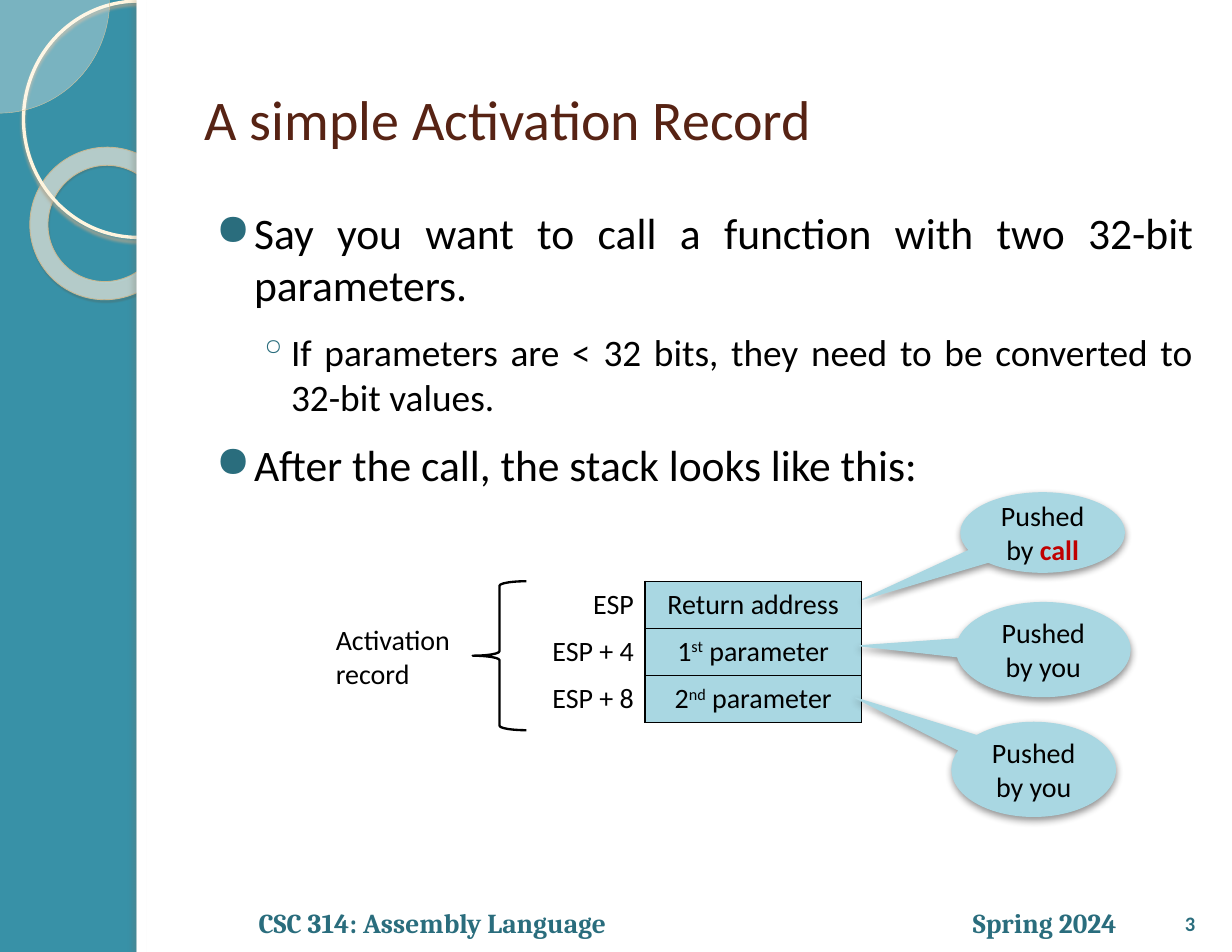
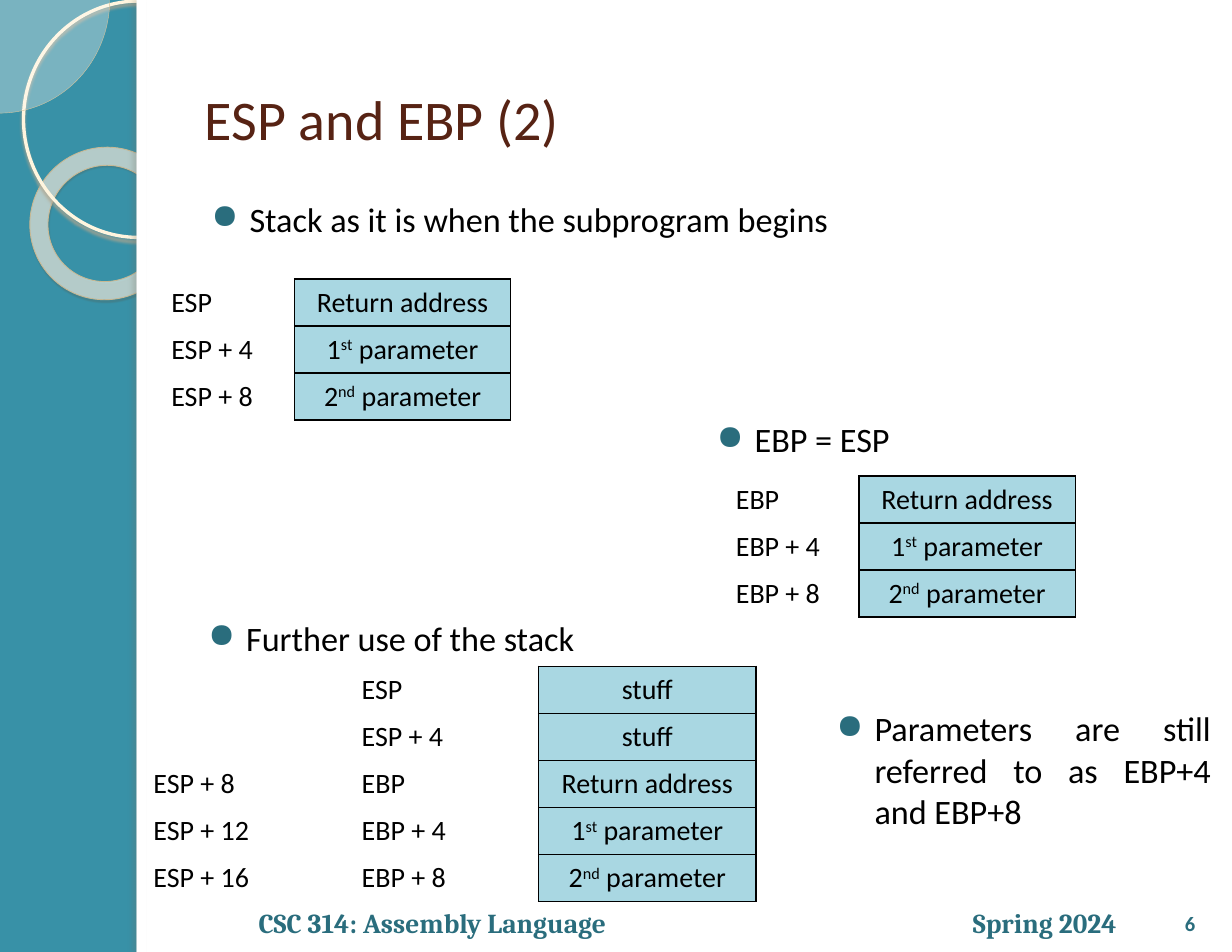
from lxml import etree
from pptx import Presentation, util as u
from pptx.dml.color import RGBColor
from pptx.enum import shapes, text
from pptx.oxml.ns import qn

COLS, ROWS = 110, 85
TEAL, DEEP_TEAL, PALE_TEAL = "3891A7", "2A6D7D", "A9D7E2"
BROWN, BLACK, WHITE, RED = "572314", "000000", "FFFFFF", "C00000"
FONT, FOOTER_FONT = "Calibri", "Cambria"
PLAIN_TABLE = "{2D5ABB26-0587-4C30-8999-92F81FD0307C}"
SHAPE, ALIGN, ANCHOR = shapes.MSO_SHAPE, text.PP_ALIGN, text.MSO_ANCHOR

FOOTER = "CSC 314: Assembly Language\tSpring 2024"
FRAME_CELLS = ["Return address", "1|st| parameter", "2|nd| parameter"]
ROW_HEIGHT = 4.2


def rgb(color):
    return RGBColor.from_string(color)


def add(parent, tag, **attrs):
    el = etree.SubElement(parent, qn(tag))
    for name, value in attrs.items():
        el.set(name, str(value))
    return el


def superscript(r):
    r._r.get_or_add_rPr().set("baseline", "30000")


def red_bold(r):
    r.font.bold = True
    r.font.color.rgb = rgb(RED)


def offsets(register, count):
    """Names of stack slots: register, register + 4, register + 8, ..."""
    return [f"{register} + {4 * i}" if i else register for i in range(count)]


class Deck:
    def __init__(self):
        self.prs = Presentation()
        self.prs.slide_width, self.prs.slide_height = u.Inches(11), u.Inches(8.5)
        fill = self.prs.slide_master.background.fill
        fill.solid()
        fill.fore_color.rgb = rgb(TEAL)
        self.s = None

    def x(self, cols):
        return round(self.prs.slide_width * cols / COLS)

    def y(self, rows):
        return round(self.prs.slide_height * rows / ROWS)

    def box(self, left, top, width, height):
        return self.x(left), self.y(top), self.x(width), self.y(height)

    def slide(self, title, number):
        self.s = self.prs.slides.add_slide(self.prs.slide_layouts[5])
        self.side_band()
        self.footer(number)
        sp = self.s.shapes.title
        sp._element.getparent().append(sp._element)  # in front of the white panel
        sp.left, sp.top, sp.width, sp.height = self.box(17.3, 3.4, 90.2, 14.2)
        sp.text_frame.auto_size = text.MSO_AUTO_SIZE.NONE
        sp.text_frame.vertical_anchor = ANCHOR.MIDDLE
        self.put_text(sp.text_frame.paragraphs[0], title, 36, BROWN)

    def side_band(self):
        ring = self.shape(SHAPE.DONUT, (2.7, 13.1, 13.5, 13.7), "FDF8EC", ("C7B893", 0.58),
                          ("5A5444", 35, 1, 1.2, 75), [0.12], alpha=62)
        ring.rotation = 38.6
        self.shape(SHAPE.OVAL, (2.1, 0.1, 20.5, 21.1), None, ("FFF5DE", 2.15),
                   ("B0A68F", 85, 2, 2, 90))
        self.shape(SHAPE.RECTANGLE, (12.2, 0, 97.8, 85), WHITE)
        self.shape(SHAPE.RECTANGLE, (12.2, 0, 0.9, 85), WHITE, shadow=("736F63", 25, 3, 3, 180))
        self.shape(SHAPE.PIE, (-9.9, -10.2, 19.7, 20.3), "FEFAF4", ("D3C39F", 0.25),
                   adjust=[0, 54], alpha=33)

    def footer(self, number):
        tf = self.text_box((17, 77.4, 89.1, 6.9), ANCHOR.BOTTOM)
        tf.margin_left = self.x(6.1)
        p = tf.paragraphs[0]
        tabs = add(p._p.get_or_add_pPr(), "a:tabLst")
        add(tabs, "a:tab", pos=self.x(76.6), algn="r")
        self.put_text(p, FOOTER, 17.6, DEEP_TEAL, font=FOOTER_FONT, bold=True)
        tf = self.text_box((103.4, 77.4, 5.7, 6.6), ANCHOR.BOTTOM)
        self.put_text(tf.paragraphs[0], number, 13.2, DEEP_TEAL, ALIGN.CENTER, bold=True)

    def put_text(self, p, content, size=18, color=BLACK, align=ALIGN.LEFT, font=FONT,
                 bold=False, mark=superscript):
        """Fill a paragraph; parts between bars are formatted by mark."""
        p.alignment = align
        p.font.name, p.font.size, p.font.bold = font, u.Pt(size), bold
        p.font.color.rgb = rgb(color)
        for i, part in enumerate(content.split("|")):
            if part:
                r = p.add_run()
                r.text = part
                if i % 2:
                    mark(r)

    def text_box(self, place, anchor=ANCHOR.TOP):
        tf = self.s.shapes.add_textbox(*self.box(*place)).text_frame
        tf.word_wrap = True
        tf.vertical_anchor = anchor
        return tf

    def label(self, place, content):
        self.put_text(self.text_box(place).paragraphs[0], content)

    def bullets(self, place, items, before=6.6, after=0):
        """Add a justified list of (level, size, text) items."""
        tf = self.text_box(place)
        for i, (level, size, content) in enumerate(items):
            p = tf.add_paragraph() if i else tf.paragraphs[0]
            p.level = level
            left, hang, char = [(4.4, 3.4, "●"), (7.7, 2.9, "◦")][level]
            pPr = p._p.get_or_add_pPr()
            pPr.set("marL", str(self.x(left)))
            pPr.set("indent", str(-self.x(hang)))
            add(add(pPr, "a:buClr"), "a:srgbClr", val=DEEP_TEAL)
            add(pPr, "a:buChar", char=char)
            p.space_before, p.space_after = u.Pt(before), u.Pt(after)
            self.put_text(p, content, size, align=ALIGN.JUSTIFY)

    def shape(self, kind, place, fill=None, line=None, shadow=None, adjust=(), alpha=None):
        sp = self.s.shapes.add_shape(kind, *self.box(*place))
        for i, value in enumerate(adjust):
            sp.adjustments[i] = value
        if fill:
            sp.fill.solid()
            sp.fill.fore_color.rgb = rgb(fill)
        else:
            sp.fill.background()
        if alpha:
            color = sp._element.spPr.find(qn("a:solidFill"))[0]
            add(color, "a:alpha", val=alpha * 1000)
        if line:
            sp.line.color.rgb, sp.line.width = rgb(line[0]), u.Pt(line[1])
        else:
            sp.line.fill.background()
        sp.shadow.inherit = False
        if shadow:
            self.cast_shadow(sp, *shadow)
        return sp

    def cast_shadow(self, sp, color, alpha, blur, dist, angle):
        effects = sp._element.spPr.find(qn("a:effectLst"))
        outer = add(effects, "a:outerShdw", blurRad=u.Pt(blur), dist=u.Pt(dist),
                    dir=angle * 60000, algn="ctr", rotWithShape=0)
        add(add(outer, "a:srgbClr", val=color), "a:alpha", val=alpha * 1000)

    def callout(self, place, tip, content):
        sp = self.shape(SHAPE.OVAL_CALLOUT, place, PALE_TEAL, (PALE_TEAL, 0.75),
                        (BLACK, 43, 5, 2, 90), tip)
        sp.text_frame.word_wrap = True
        sp.text_frame.vertical_anchor = ANCHOR.MIDDLE
        self.put_text(sp.text_frame.paragraphs[0], content, align=ALIGN.CENTER, mark=red_bold)

    def border(self, cell, sides):
        tcPr = cell._tc.get_or_add_tcPr()
        for side in sides:
            ln = add(tcPr, f"a:ln{side}", w=u.Pt(1))
            add(add(ln, "a:solidFill"), "a:srgbClr", val=BLACK)

    def stack(self, left, top, widths, columns, indents=None):
        """Draw a stack: label columns, then boxed cells; labels sit right without indents."""
        count = len(columns[-1])
        frame = self.s.shapes.add_table(count, len(columns), *self.box(
            left, top, sum(widths), ROW_HEIGHT * count))
        table = frame.table
        table.first_row = table.horz_banding = False
        table._tbl.tblPr.find(qn("a:tableStyleId")).text = PLAIN_TABLE
        for row in table.rows:
            row.height = self.y(ROW_HEIGHT)
        last = len(columns) - 1
        for c, (width, column) in enumerate(zip(widths, columns)):
            table.columns[c].width = self.x(width)
            for i, content in enumerate(column):
                cell = table.cell(i, c)
                cell.vertical_anchor = ANCHOR.MIDDLE
                if c == last:
                    self.border(cell, "LRTB")
                    cell.fill.solid()
                    cell.fill.fore_color.rgb = rgb(PALE_TEAL)
                    align = ALIGN.CENTER
                else:
                    if c == last - 1:
                        self.border(cell, "R")
                    cell.fill.background()
                    align = ALIGN.LEFT if indents else ALIGN.RIGHT
                    if indents:
                        cell.margin_left = self.x(indents[c])
                if content:
                    self.put_text(cell.text_frame.paragraphs[0], content, align=align)


def activation_record(deck):
    deck.slide("A simple Activation Record", "3")
    deck.bullets((17.3, 17.9, 90.2, 59.5), [
        (0, 28, "Say you want to call a function with two 32-bit parameters."),
        (1, 24, "If parameters are < 32 bits, they need to be converted to 32-bit values."),
        (0, 28, "After the call, the stack looks like this:"),
    ], before=6, after=6)
    deck.stack(38.3, 51.9, (19.3, 19.3), [offsets("ESP", 3), FRAME_CELLS])
    deck.shape(SHAPE.LEFT_BRACE, (42.2, 51.9, 4.8, 13.3), line=(BLACK, 1.5))
    deck.label((29, 55.1, 15.6, 7.1), "Activation record")
    deck.callout((85, 64.5, 14.6, 8.4), (-1.09, -0.76), "Pushed by you")
    deck.callout((85.4, 53.8, 15.5, 8.4), (-1.06, -0.04), "Pushed by you")
    deck.callout((85.8, 44, 14.6, 7.1), (-1.1, 0.84), "Pushed by |call|")


def esp_and_ebp(deck):
    deck.slide("ESP and EBP (2)", "6")
    for place, content in [
        ((16.9, 17.2, 68, 6.6), "Stack as it is when the subprogram begins"),
        ((62, 36.9, 20, 6.6), "EBP = ESP"),
        ((16.6, 54.6, 36.4, 6.6), "Further use of the stack"),
        ((72.7, 62.7, 36.4, 12.9), "Parameters are still referred to as EBP+4 and EBP+8"),
    ]:
        deck.bullets(place, [(0, 22, content)])
    for left, top, register in [(7, 24.9, "ESP"), (57.4, 42.5, "EBP")]:
        deck.stack(left, top, (19.3, 19.3), [offsets(register, 3), FRAME_CELLS], [8.3])
    esp = offsets("ESP", 5)
    deck.stack(9.3, 59.5, (15.7, 23.1, 19.4), [
        ["", ""] + esp[2:],
        esp[:2] + offsets("EBP", 3),
        ["stuff", "stuff"] + FRAME_CELLS,
    ], [4.4, 7.3])


def main():
    deck = Deck()
    activation_record(deck)
    esp_and_ebp(deck)
    deck.prs.save("out.pptx")


if __name__ == "__main__":
    main()
